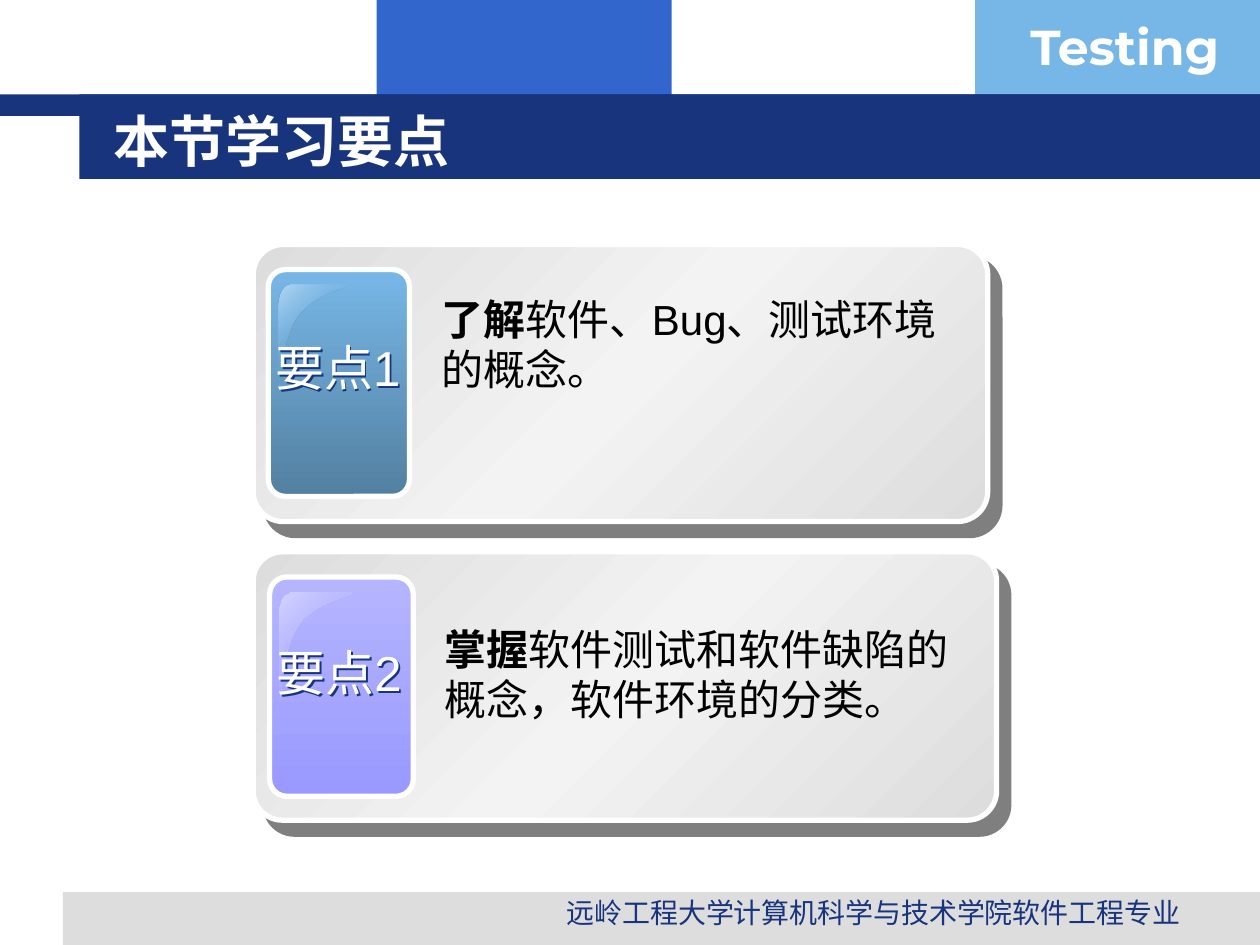
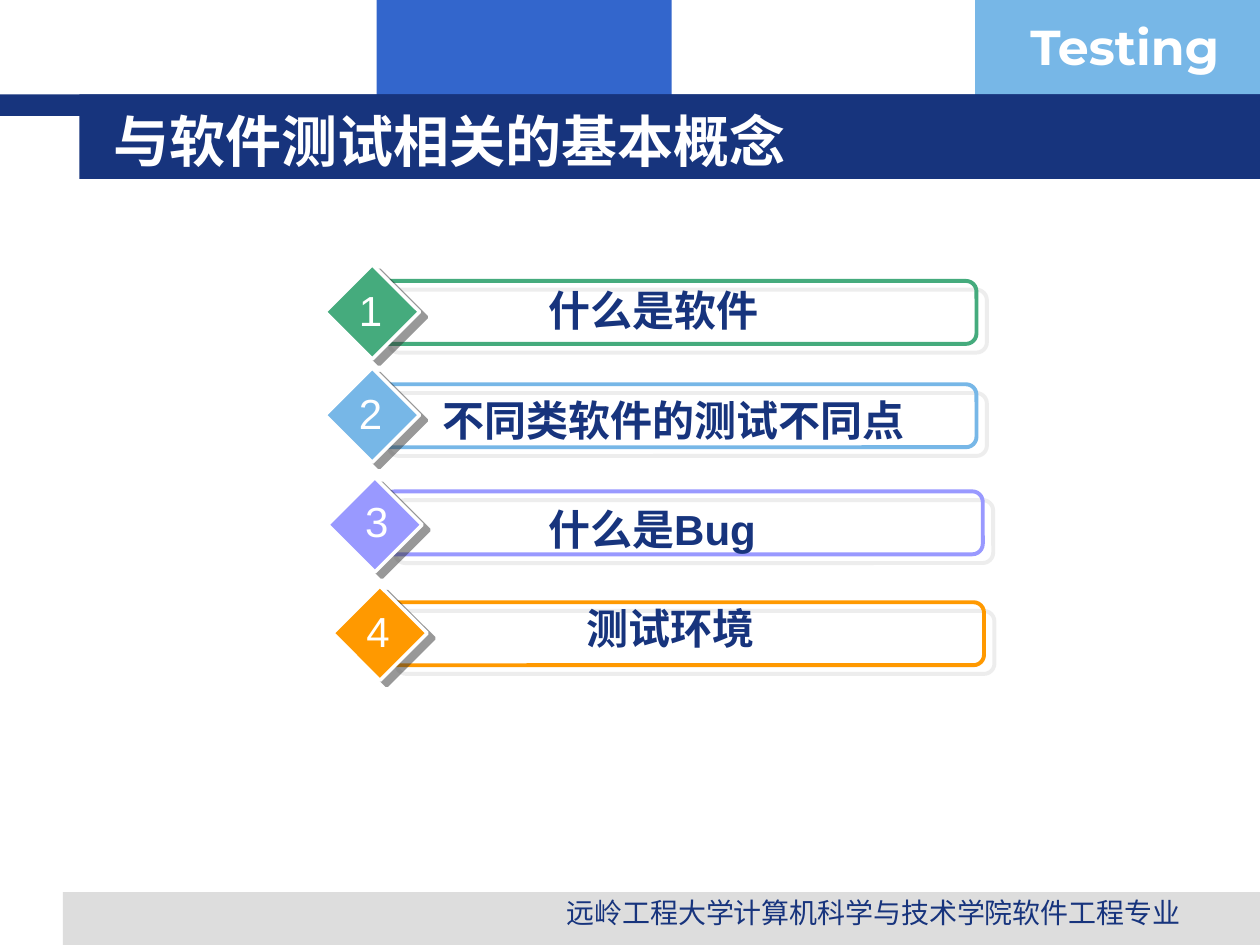
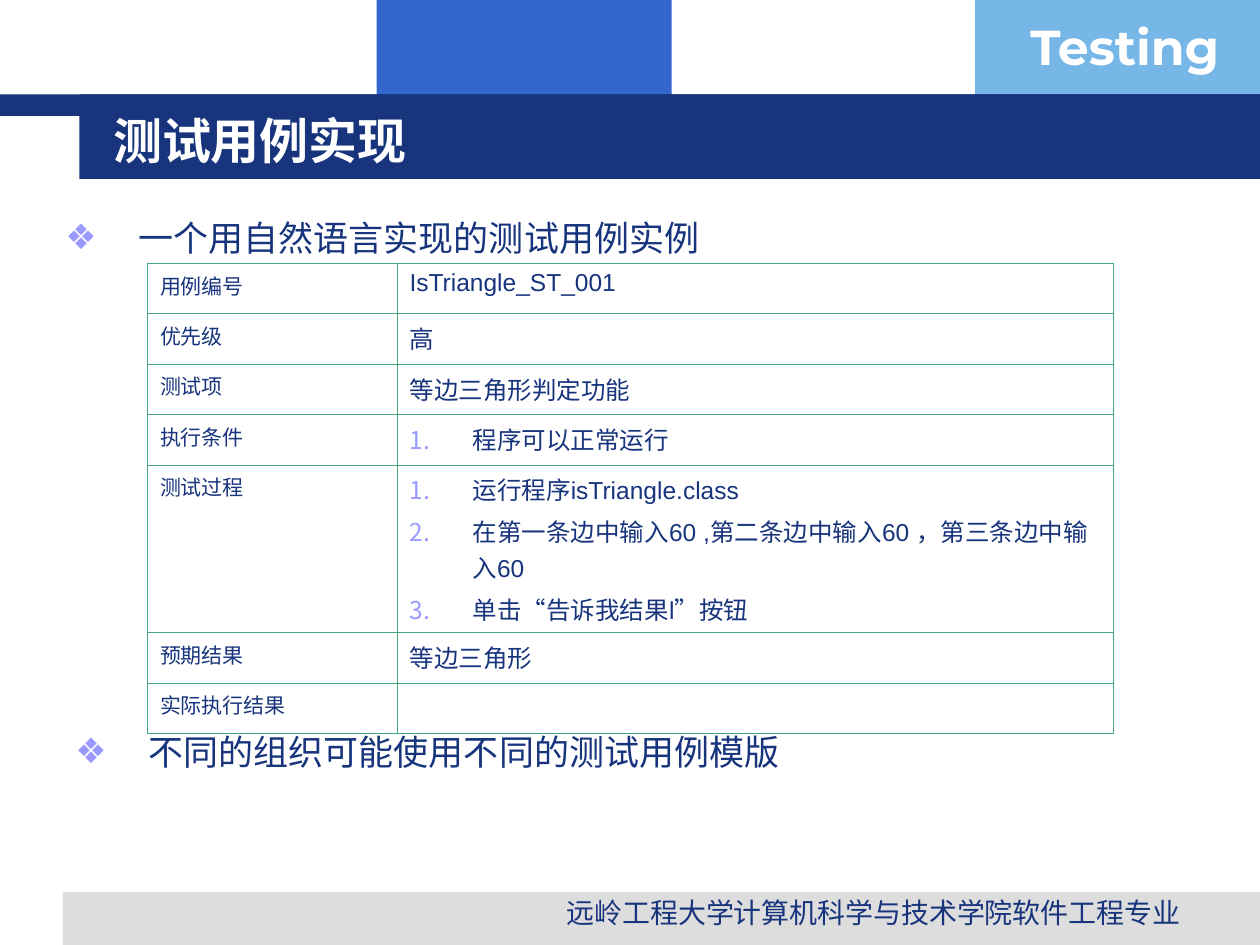
"""Build three lecture slides on the basics of software testing."""
from dataclasses import dataclass
from pptx import Presentation as Deck
from pptx.dml.color import RGBColor as Rgb
from pptx.enum.lang import MSO_LANGUAGE_ID as Lang
from pptx.enum.shapes import MSO_SHAPE as Kind
from pptx.enum.text import MSO_ANCHOR as Anchor, MSO_AUTO_SIZE as Fit, PP_ALIGN as Align
from pptx.oxml import parse_xml as to_xml
from pptx.oxml.ns import nsdecls, qn
from pptx.util import Inches, Pt


@dataclass(frozen=True)
class Theme:
    """Hold the colours, fonts and type sizes of the deck."""
    navy: str = "17347D"
    blue: str = "3366CC"
    sky: str = "77B7E7"
    violet: str = "9999FF"
    green: str = "45AB7D"
    orange: str = "FF9900"
    grey: str = "DDDDDD"
    dark: str = "333333"
    white: str = "FFFFFF"
    black: str = "000000"
    body: str = "Arial"
    head: str = "DejaVu Sans"
    brand: str = "Montserrat"
    title: int = 32
    large: int = 28
    text: int = 24
    item: int = 20
    foot: int = 16
    cell: int = 14
    key: int = 12


T = Theme()
GLOSS = [[(0.19, 0), (0.07, 0), (0, 0.09), (0, 0.2)],
         [(0, 0.98), (0.03, 1), (0.02, 0.51), (0.27, 0.29)],
         [(0.27, 0.29), (0.52, 0.07), (1, 0.04), (1, 0)]]
CARDS = [
    dict(box=(2.01, 1.94, 5.83, 2.2), tag=(2.13, 2.14, 1.12, 1.8),
         tint=[(0, T.sky, 100), (100, "5380A1", 100)],
         shine=[(0, "B5D8F2", 100), (50, T.sky, 0), (100, "B5D8F2", 100)],
         name="要点1", spot=(2.04, 2.63, 1.28, 0.57),
         note=(3.41, 2.28, 4.3, 0.9), verb="了解", rest="软件、Bug、测试环境的概念。"),
    dict(box=(2.01, 4.38, 5.9, 2.13), tag=(2.14, 4.58, 1.14, 1.74),
         tint=[(0, "B5B5FF", 100), (100, T.violet, 100)],
         shine=[(0, "D4D4FF", 100), (100, T.violet, 0)],
         name="要点2", spot=(2.05, 5.05, 1.28, 0.57),
         note=(3.43, 4.9, 4.28, 0.9), verb="掌握", rest="软件测试和软件缺陷的概念，软件环境的分类。"),
]
TOPICS = [
    ("什么是软件", T.green, (3, 2.23), (2.58, 2.1), (3.25, 2.21, 3.88)),
    ("不同类软件的测试不同点", T.sky, (3, 3.05), (2.58, 2.92), (3.25, 3.08, 4.19)),
    ("什么是Bug", T.violet, (3.05, 3.9), (2.6, 3.79), (3.3, 3.95, 3.75)),
    ("测试环境", T.orange, (3.06, 4.78), (2.64, 4.65), (3.45, 4.73, 3.75)),
]
CASE = [
    (0.4, "用例编号", "IsTriangle_ST_001"),
    (0.4, "优先级", "高"),
    (0.4, "测试项", "等边三角形判定功能"),
    (0.4, "执行条件", ["程序可以正常运行"]),
    (1.33, "测试过程", ["运行程序isTriangle.class",
                    "在第一条边中输入60 ,第二条边中输入60 ，第三条边中输入60",
                    "单击“告诉我结果l”按钮"]),
    (0.4, "预期结果", "等边三角形"),
    (0.4, "实际执行结果", ""),
]


def put(obj, **vals):
    """Set each named attribute on an object."""
    for name, val in vals.items():
        setattr(obj, name, val)


def node(tag, inner="", attrs=""):
    """Make one drawing element."""
    return to_xml(f'<a:{tag} {nsdecls("a")} {attrs}>{inner}</a:{tag}>')


def clr(hue, alpha=100):
    """Give the markup of a colour with its opacity."""
    return f'<a:srgbClr val="{hue}"><a:alpha val="{alpha * 1000}"/></a:srgbClr>'


def cast(hue, dist, turn, alpha=50):
    """Make a shadow effect."""
    return node("effectLst", f'<a:outerShdw dist="{Pt(dist)}" dir="{turn * 60000}" '
                f'algn="ctr" rotWithShape="0">{clr(hue, alpha)}</a:outerShdw>')


def fade(shape, stops, turn):
    """Fill a shape with a linear gradient."""
    marks = "".join(f'<a:gs pos="{pos * 1000}">{clr(hue, alpha)}</a:gs>'
                    for pos, hue, alpha in stops)
    grad = node("gradFill", f'<a:gsLst>{marks}</a:gsLst>'
                f'<a:lin ang="{turn * 60000}" scaled="0"/>', 'rotWithShape="1"')
    shape.fill.background()
    props = shape._element.spPr
    props.replace(props.find(qn("a:noFill")), grad)


def style(shape, fill=None, line=None, width=1, grad=None, turn=90, shade=None):
    """Apply the fill, outline and shadow of a shape."""
    shape.shadow.inherit = False
    if grad:
        fade(shape, grad, turn)
    elif fill:
        shape.fill.solid()
        shape.fill.fore_color.rgb = Rgb.from_string(fill)
    else:
        shape.fill.background()
    if line:
        shape.line.color.rgb = Rgb.from_string(line)
        shape.line.width = Pt(width)
    else:
        shape.line.fill.background()
    if shade:
        props = shape._element.spPr
        props.replace(props.find(qn("a:effectLst")), cast(*shade))


def block(slide, box, kind=Kind.RECTANGLE, adj=None, **look):
    """Add a preset shape."""
    shape = slide.shapes.add_shape(kind, *map(Inches, box))
    if adj is not None:
        shape.adjustments[0] = adj
    style(shape, **look)


def write(para, text, size, hue=T.navy, face=T.body, bold=False):
    """Add one styled run to a paragraph."""
    run = para.add_run()
    run.text = text
    put(run.font, size=Pt(size), name=face, bold=bold,
        language_id=Lang.SIMPLIFIED_CHINESE)
    run.font.color.rgb = Rgb.from_string(hue)


def label(slide, box, text, size, wrap=True, align=Align.LEFT,
          anchor=Anchor.TOP, shade=None, **look):
    """Add a text box with one run and return its paragraph."""
    shape = slide.shapes.add_textbox(*map(Inches, box))
    put(shape.text_frame, word_wrap=wrap, vertical_anchor=anchor,
        auto_size=Fit.NONE if wrap else Fit.SHAPE_TO_FIT_TEXT)
    if shade:
        style(shape, shade=shade)
    para = shape.text_frame.paragraphs[0]
    para.alignment = align
    write(para, text, size, **look)
    return para


def bullet(para, inset, *marks):
    """Give a paragraph a violet hanging mark."""
    props = para._p.get_or_add_pPr()
    props.set("marL", str(Inches(inset)))
    props.set("indent", str(-Inches(inset)))
    props.extend([node("buClr", clr(T.violet)), *marks])


def base(deck, title, size=T.title):
    """Start a slide with its bands, title and footer."""
    slide = deck.slides.add_slide(deck.slide_layouts[6])
    for hue, box in [(T.blue, (2.99, 0, 2.34, 0.92)), (T.sky, (7.74, 0, 2.26, 0.92)),
                     (T.grey, (0.5, 7.08, 9.5, 0.42)), (T.navy, (0, 0.75, 10, 0.17)),
                     (T.navy, (0.63, 0.75, 9.37, 0.67))]:
        block(slide, box, fill=hue)
    label(slide, (8.08, 0.08, 1.93, 0.57), "Testing", T.large,
          hue=T.white, face=T.brand, bold=True)
    label(slide, (4.06, 7.06, 5.75, 0.31), "远岭工程大学计算机科学与技术学院软件工程专业",
          T.foot, align=Align.CENTER)
    label(slide, (0.8, 0.8, 8.53, 0.62), title, size, anchor=Anchor.MIDDLE,
          hue=T.white, face=T.head, bold=True)
    return slide


def curve(ends, steps=12):
    """List points along a cubic curve."""
    blend = [((1 - t) ** 3, 3 * t * (1 - t) ** 2, 3 * t * t * (1 - t), t ** 3)
             for t in (i / steps for i in range(steps + 1))]
    return [tuple(sum(w * pt[axis] for w, pt in zip(mix, ends)) for axis in (0, 1))
            for mix in blend]


def gloss(slide, tag, stops):
    """Draw the curved shine in the corner of a tag."""
    left, top, wide, high = tag
    dots = [(Inches(left + 0.08 + x * wide / 2), Inches(top + 0.12 + y * high / 2))
            for part in GLOSS for x, y in curve(part)]
    pen = slide.shapes.build_freeform(*dots[0])
    pen.add_line_segments(dots[1:], close=True)
    style(pen.convert_to_shape(), grad=stops, turn=45)


def card(slide, box, tag, tint, shine, name, spot, note, verb, rest):
    """Draw a key point card with its tag and note."""
    block(slide, box, Kind.ROUNDED_RECTANGLE, 0.109, line=T.white, width=3, turn=45,
          grad=[(0, T.grey, 100), (50, "F3F3F3", 100), (100, T.grey, 100)],
          shade=(T.black, 10.6, 49))
    block(slide, tag, Kind.ROUNDED_RECTANGLE, 0.12, line=T.white, width=3, grad=tint)
    gloss(slide, tag, shine)
    label(slide, spot, name, T.large, wrap=False, align=Align.CENTER,
          hue=T.white, shade=(T.navy, 1.5, 45, 100))
    para = label(slide, note, verb, T.text, hue=T.black, bold=True)
    write(para, rest, T.text, T.black)


def topic(slide, num, text, hue, bar, gem, spot):
    """Draw a numbered topic bar."""
    left, top = bar
    block(slide, (left, top, 4.75, 0.5), Kind.ROUNDED_RECTANGLE, 0.167,
          line=hue, width=2.25, shade=(T.grey, 7.8, 40))
    block(slide, (*gem, 0.75, 0.75), Kind.DIAMOND, fill=hue, line=T.white, width=2,
          shade=(T.dark, 5, 37))
    label(slide, (*spot, 0.5), text, T.text, align=Align.CENTER, bold=True)
    label(slide, (left - 0.25, top - 0.02, 0.38, 0.5), str(num), T.text, wrap=False,
          align=Align.CENTER, hue=T.white)


def fill_cell(cell, text, size):
    """Write a table cell, numbering its lines when given a list."""
    cell.fill.background()
    steps = isinstance(text, list)
    frame = cell.text_frame
    for i, line in enumerate(text if steps else [text]):
        para = frame.add_paragraph() if i else frame.paragraphs[0]
        if i:
            para.space_before = Pt(3.5)
        if steps:
            bullet(para, 0.5, node("buAutoNum", attrs='type="arabicPeriod"'))
        if line:
            write(para, line, size)
    props = cell._tc.get_or_add_tcPr()
    for i, side in enumerate("LRTB"):
        props.insert(i, node(f"ln{side}", f'<a:solidFill>{clr(T.green)}</a:solidFill>',
                             f'w="{Pt(0.45)}"'))


def grid(slide, rows):
    """Add the test case table."""
    high = sum(row[0] for row in rows)
    shape = slide.shapes.add_table(len(rows), 2, *map(Inches, (1.17, 2.09, 7.67, high)))
    table = shape.table
    put(table, first_row=False, horz_banding=False)
    for col, wide in zip(table.columns, (1.98, 5.69)):
        col.width = Inches(wide)
    for row, (tall, key, text) in zip(table.rows, rows):
        row.height = Inches(tall)
        fill_cell(row.cells[0], key, T.key)
        fill_cell(row.cells[1], text, T.cell)


def main():
    """Build and save the deck."""
    deck = Deck()
    put(deck, slide_width=Inches(10), slide_height=Inches(7.5))
    slide = base(deck, "本节学习要点")
    for data in CARDS:
        card(slide, **data)
    slide = base(deck, "与软件测试相关的基本概念")
    for num, data in enumerate(TOPICS, 1):
        topic(slide, num, *data)
    slide = base(deck, "测试用例实现", T.large)
    grid(slide, CASE)
    for box, text in [((0.42, 1.67, 9.42, 0.5), "一个用自然语言实现的测试用例实例"),
                      ((0.5, 5.75, 9.42, 0.67), "不同的组织可能使用不同的测试用例模版")]:
        bullet(label(slide, box, text, T.item), 0.58,
               node("buFont", attrs=f'typeface="{T.head}"'),
               node("buChar", attrs='char="❖"'))
    deck.save("out.pptx")


if __name__ == "__main__":
    main()
